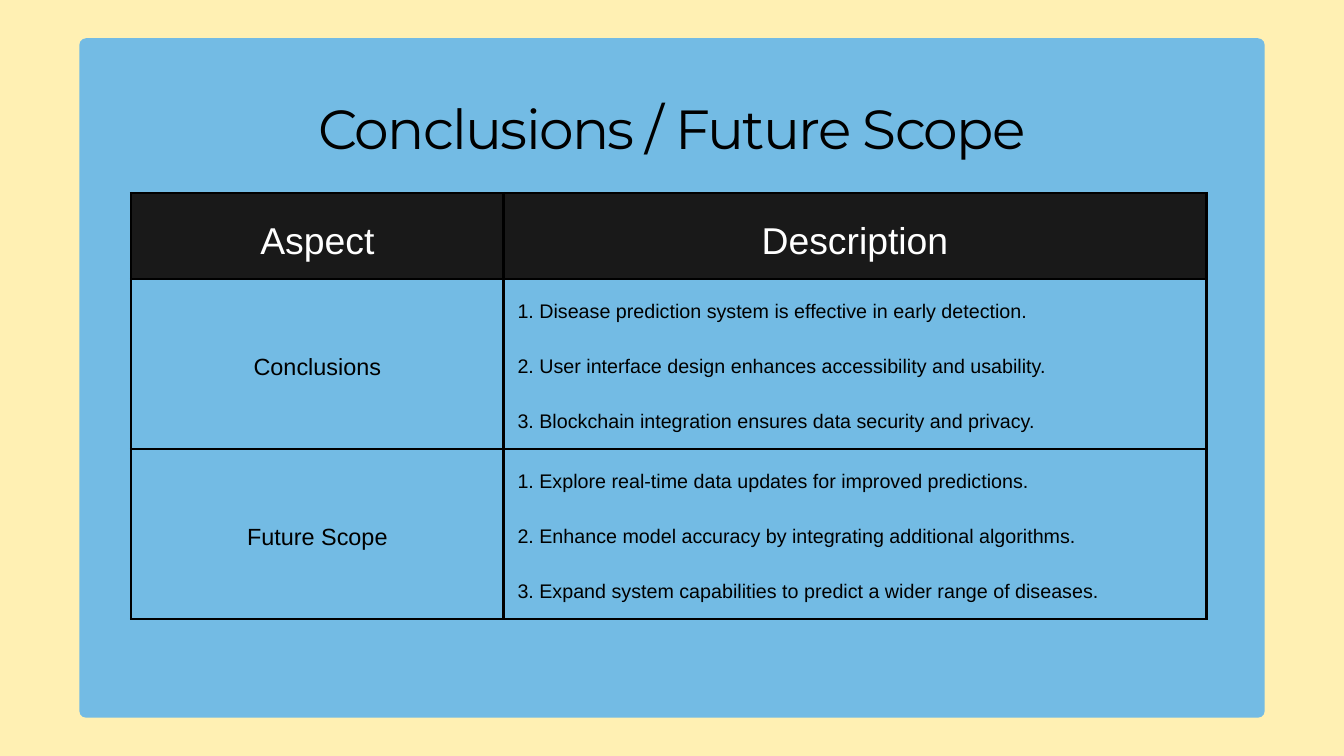
from dataclasses import dataclass

import lxml.etree
import pptx
import pptx.dml.color
import pptx.enum.shapes
import pptx.enum.text
import pptx.oxml.ns
import pptx.util

Pt = pptx.util.Pt
CENTER = pptx.enum.text.PP_ALIGN.CENTER
LEFT = pptx.enum.text.PP_ALIGN.LEFT
MIDDLE = pptx.enum.text.MSO_ANCHOR.MIDDLE

CREAM, SKY, CHARCOAL = "FFF0B3", "73BBE4", "191919"
BLACK, WHITE = "000000", "FFFFFF"
COLUMN_WIDTHS = (399, 753)
ROW_HEIGHTS = (92, 182, 182)


@dataclass(frozen=True)
class TextStyle:
    size: float
    line: float
    color: str = BLACK
    font: str = "Arial"
    align: pptx.enum.text.PP_ALIGN = CENTER
    gap: float = 0


@dataclass(frozen=True)
class Entry:
    lines: tuple[str, ...]
    style: TextStyle
    fill: str | None = None


TITLE = TextStyle(59, 62.5, font="Montserrat")
HEADING = TextStyle(40, 56.1, WHITE)
ASPECT = TextStyle(25.1, 35.1)
DESCRIPTION = TextStyle(21.1, 29.5, align=LEFT, gap=29.5)

CONCLUSIONS = (
    "1. Disease prediction system is effective in early detection.",
    "2. User interface design enhances accessibility and usability.",
    "3. Blockchain integration ensures data security and privacy.",
)
FUTURE_SCOPE = (
    "1. Explore real-time data updates for improved predictions.",
    "2. Enhance model accuracy by integrating additional algorithms.",
    "3. Expand system capabilities to predict a wider range of diseases.",
)
ENTRIES = (
    (Entry(("Aspect",), HEADING, CHARCOAL), Entry(("Description",), HEADING, CHARCOAL)),
    (Entry(("Conclusions",), ASPECT), Entry(CONCLUSIONS, DESCRIPTION)),
    (Entry(("Future Scope",), ASPECT), Entry(FUTURE_SCOPE, DESCRIPTION)),
)


def rgb(color: str) -> pptx.dml.color.RGBColor:
    return pptx.dml.color.RGBColor.from_string(color)


def paint(fill, color: str | None) -> None:
    if color is None:
        fill.background()
    else:
        fill.solid()
        fill.fore_color.rgb = rgb(color)


def write(frame, lines: tuple[str, ...], style: TextStyle) -> None:
    frame.word_wrap = True
    for index, line in enumerate(lines):
        paragraph = frame.add_paragraph() if index else frame.paragraphs[0]
        paragraph.alignment = style.align
        paragraph.line_spacing = Pt(style.line)
        paragraph.space_before = Pt(style.gap if index else 0)
        run = paragraph.add_run()
        run.text = line
        run.font.name = style.font
        run.font.size = Pt(style.size)
        run.font.bold = False
        run.font.color.rgb = rgb(style.color)


def set_margins(box, margin: float) -> None:
    box.margin_left = box.margin_right = Pt(margin)
    box.margin_top = box.margin_bottom = Pt(margin)


def add_borders(cell, color: str, width: float) -> None:
    qn = pptx.oxml.ns.qn
    properties = cell._tc.get_or_add_tcPr()
    for index, side in enumerate(("lnL", "lnR", "lnT", "lnB")):
        border = lxml.etree.Element(qn(f"a:{side}"), w=str(Pt(width)))
        solid = lxml.etree.SubElement(border, qn("a:solidFill"))
        lxml.etree.SubElement(solid, qn("a:srgbClr"), val=color)
        properties.insert(index, border)


def add_panel(slide) -> None:
    panel = slide.shapes.add_shape(
        pptx.enum.shapes.MSO_SHAPE.ROUNDED_RECTANGLE,
        Pt(85), Pt(41), Pt(1270), Pt(728),
    )
    panel.adjustments[0] = 0.01
    panel.shadow.inherit = False
    paint(panel.fill, SKY)
    panel.line.fill.background()


def set_title(slide) -> None:
    title = slide.shapes.title
    title.element.getparent().append(title.element)
    title.left, title.top, title.width, title.height = Pt(196), Pt(109), Pt(1048), Pt(127)
    frame = title.text_frame
    set_margins(frame, 0)
    frame.auto_size = pptx.enum.text.MSO_AUTO_SIZE.NONE
    frame.vertical_anchor = pptx.enum.text.MSO_ANCHOR.TOP
    write(frame, ("Conclusions / Future Scope",), TITLE)
    frame.paragraphs[0].runs[0].font._element.set("spc", "-180")


def add_summary(slide) -> None:
    summary = slide.shapes.add_table(
        len(ROW_HEIGHTS), len(COLUMN_WIDTHS),
        Pt(140.5), Pt(207), Pt(sum(COLUMN_WIDTHS)), Pt(sum(ROW_HEIGHTS)),
    ).table
    summary.first_row = summary.horz_banding = False
    for column, width in zip(summary.columns, COLUMN_WIDTHS):
        column.width = Pt(width)
    for row, height, entries in zip(summary.rows, ROW_HEIGHTS, ENTRIES):
        row.height = Pt(height)
        for cell, entry in zip(row.cells, entries):
            set_margins(cell, 15)
            cell.vertical_anchor = MIDDLE
            paint(cell.fill, entry.fill)
            add_borders(cell, BLACK, 3)
            write(cell.text_frame, entry.lines, entry.style)


def main() -> None:
    deck = pptx.Presentation()
    deck.slide_width, deck.slide_height = Pt(1440), Pt(810)
    slide = deck.slides.add_slide(deck.slide_layouts[5])
    paint(slide.background.fill, CREAM)
    add_panel(slide)
    set_title(slide)
    add_summary(slide)
    deck.save("out.pptx")


if __name__ == "__main__":
    main()
